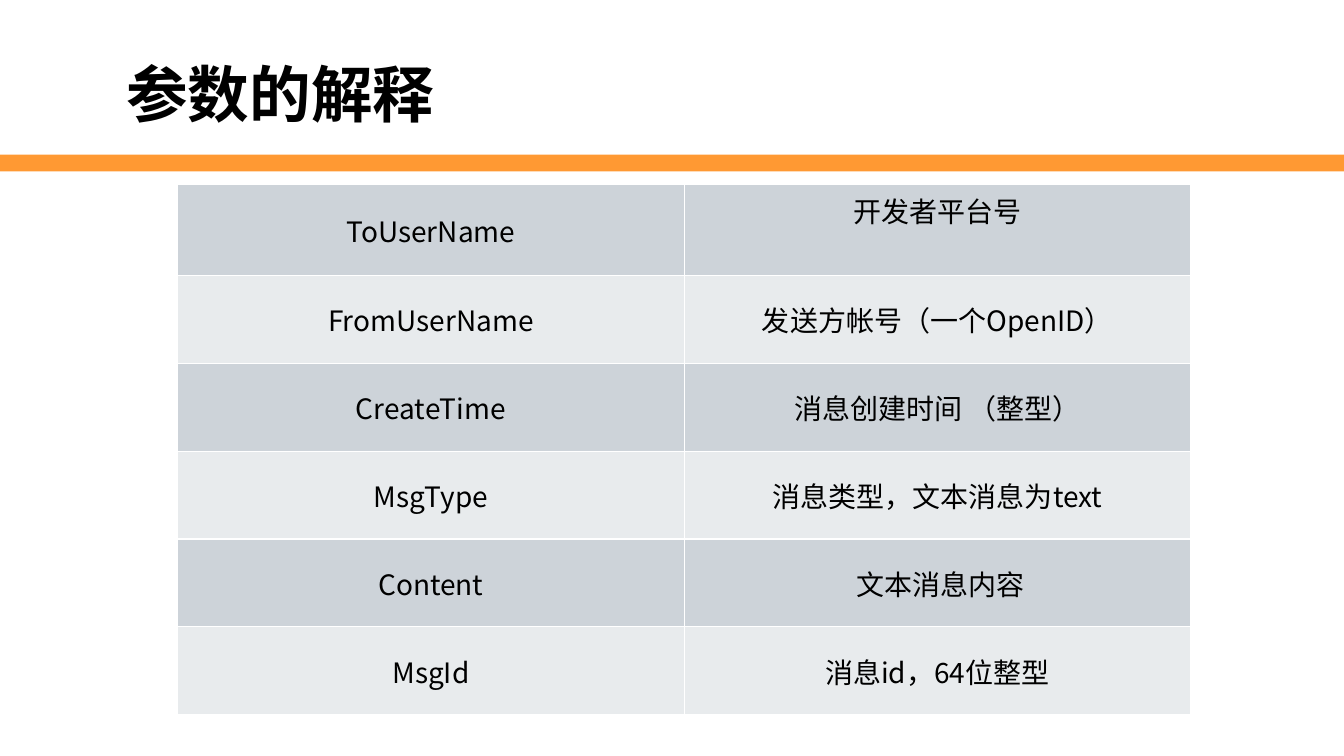
from lxml.etree import SubElement
from pptx import Presentation
from pptx.dml.color import RGBColor
from pptx.enum.shapes import MSO_SHAPE
from pptx.enum.text import MSO_ANCHOR, MSO_AUTO_SIZE, PP_ALIGN
from pptx.oxml.ns import qn
from pptx.util import Pt

FONT = "Noto Sans CJK SC"
ROWS = [
    ("ToUserName", "开发者平台号"),
    ("FromUserName", "发送方帐号（一个OpenID）"),
    ("CreateTime", "消息创建时间 （整型）"),
    ("MsgType", "消息类型，文本消息为text"),
    ("Content", " 文本消息内容"),
    ("MsgId", "消息id，64位整型"),
]
BANDS = ("CDD3D9", "E8EBED")


def paint(fmt, color):
    fmt.solid()
    fmt.fore_color.rgb = RGBColor.from_string(color)


def write(frame, text, size, bold, align):
    para = frame.paragraphs[0]
    para.alignment = align
    run = para.add_run()
    run.text = text
    for name, value in {"name": FONT, "size": Pt(size), "bold": bold}.items():
        setattr(run.font, name, value)
    paint(run.font.fill, "000000")
    # Chinese characters take their own typeface entry
    SubElement(run.font._element, qn("a:ea"), typeface=FONT)
    return para


def add_title(slide, text, left, top, width, height):
    title = slide.shapes.title
    box = {"left": left, "top": top, "width": width, "height": height}
    for name, value in box.items():
        setattr(title, name, Pt(value))
    frame = title.text_frame
    frame.auto_size = MSO_AUTO_SIZE.NONE
    frame.vertical_anchor = MSO_ANCHOR.MIDDLE
    para = write(frame, text, 44, True, PP_ALIGN.LEFT)
    para.line_spacing = 0.9


def add_bar(slide, left, top, width, height):
    bar = slide.shapes.add_shape(
        MSO_SHAPE.RECTANGLE, Pt(left), Pt(top), Pt(width), Pt(height))
    bar.shadow.inherit = False
    paint(bar.fill, "FF9933")
    bar.line.fill.background()


def add_grid(slide, rows, left, top, width, height):
    table = slide.shapes.add_table(
        len(rows), 2, Pt(left), Pt(top), Pt(width), Pt(height)).table
    table.first_row = table.horz_banding = False
    for row in table.rows:
        row.height = Pt(height / len(rows))
    for r, texts in enumerate(rows):
        for c, text in enumerate(texts):
            cell = table.cell(r, c)
            paint(cell.fill, BANDS[r % 2])
            cell.vertical_anchor = MSO_ANCHOR.MIDDLE
            write(cell.text_frame, text, 20, False, PP_ALIGN.CENTER)
    # The first description sits high in its cell
    table.cell(0, 1).margin_bottom = Pt(32)


def main():
    deck = Presentation()
    deck.slide_width, deck.slide_height = Pt(960), Pt(540)
    slide = deck.slides.add_slide(deck.slide_layouts[5])
    add_bar(slide, 0, 110.4, 960, 12)
    add_title(slide, "参数的解释", 83, 42.5, 397, 54)
    add_grid(slide, ROWS, 126.9, 132, 723.6, 376.8)
    deck.save("out.pptx")


if __name__ == "__main__":
    main()
